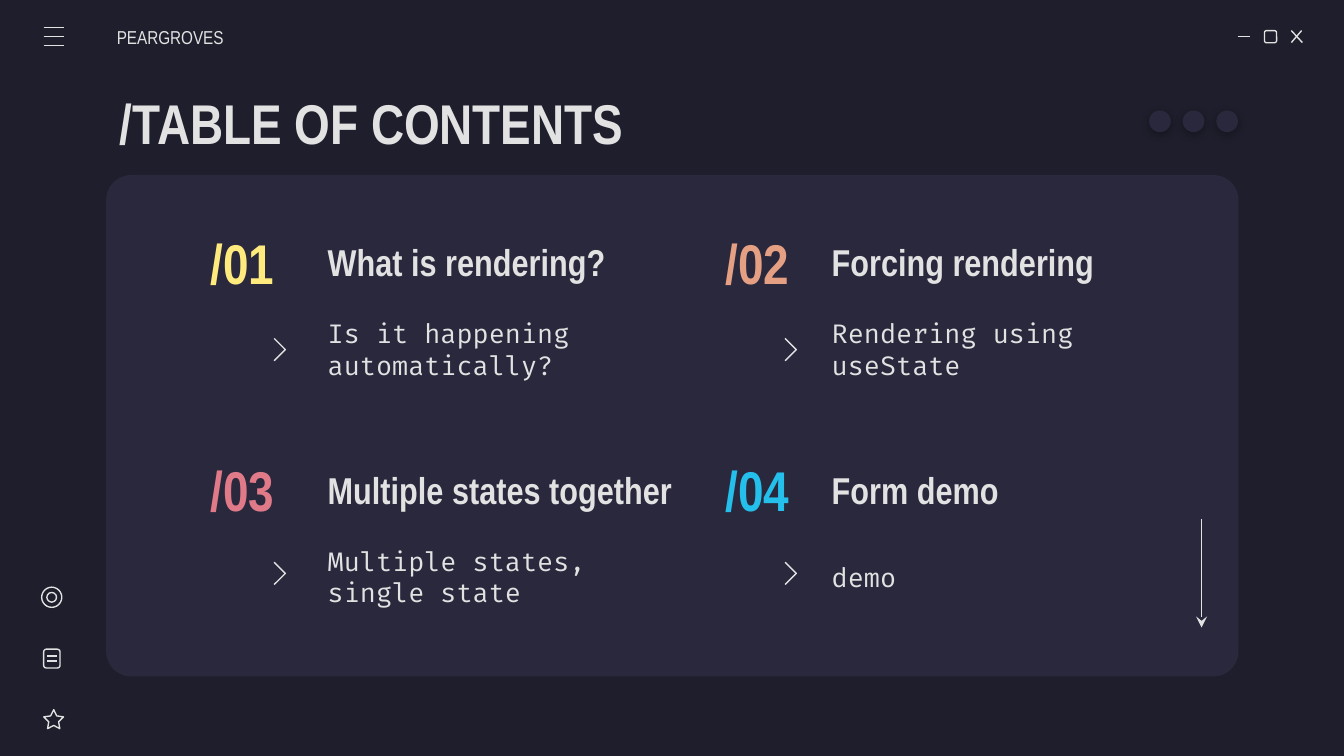
from lxml import etree
from pptx import Presentation
from pptx.dml.color import RGBColor
from pptx.enum import shapes, text
from pptx.oxml import ns
from pptx.util import Pt

COLORS = {
    "background": "1E1E2C",
    "panel": "29283D",
    "light": "E2E2E2",
    "yellow": "FFEA7D",
    "orange": "E5A083",
    "pink": "E07A88",
    "blue": "24BFEB",
    "shadow": "000000",
}
HEADING_FONT = "Arial Narrow"
BODY_FONT = "Fira Code"
SHAPE = shapes.MSO_SHAPE
ALIGN = text.PP_ALIGN

TOPICS = [
    ("/01", "yellow", "What is rendering?", "Is it happening automatically?"),
    ("/02", "orange", "Forcing rendering", "Rendering using useState"),
    ("/03", "pink", "Multiple states together", "Multiple states, single state"),
    ("/04", "blue", "Form demo", "demo"),
]
NUMBER_X = (97.2, 373)
HEADING_X = (168.5, 438.5)
CHEVRON_X = (146.9, 420.6)
HEADING_Y = (120.2, 242)
DETAIL_Y = (160, 282)
CHEVRON_Y = (181.3, 301.2)


def rgb(color):
    return RGBColor.from_string(COLORS[color])


def style_outline(line):
    line.color.rgb = rgb("light")
    line.width = Pt(0.75)


def write(target, words, size, color="light", font=HEADING_FONT, bold=True,
          align=ALIGN.LEFT, left_inset=7.2):
    frame = target.text_frame
    frame.word_wrap = True
    frame.auto_size = text.MSO_AUTO_SIZE.NONE
    frame.vertical_anchor = text.MSO_ANCHOR.MIDDLE
    frame.margin_left = Pt(left_inset)
    frame.margin_right = frame.margin_top = frame.margin_bottom = Pt(7.2)
    paragraph = frame.paragraphs[0]
    paragraph.alignment = align
    run = paragraph.add_run()
    run.text = words
    run.font.name = font
    run.font.size = Pt(size)
    run.font.bold = bold
    run.font.color.rgb = rgb(color)


def add_label(slide, x, y, width, height, words, size, **style):
    label = slide.shapes.add_textbox(Pt(x), Pt(y), Pt(width), Pt(height))
    write(label, words, size, **style)


def add_solid(slide, kind, x, y, width, height):
    solid = slide.shapes.add_shape(kind, Pt(x), Pt(y), Pt(width), Pt(height))
    solid.fill.solid()
    solid.fill.fore_color.rgb = rgb("panel")
    solid.line.fill.background()
    solid.shadow.inherit = False
    return solid


def add_outlined(slide, kind, x, y, width, height):
    icon = slide.shapes.add_shape(kind, Pt(x), Pt(y), Pt(width), Pt(height))
    icon.fill.background()
    style_outline(icon.line)
    icon.shadow.inherit = False
    return icon


def add_line(slide, x1, y1, x2, y2, arrow=False):
    stroke = slide.shapes.add_connector(
        shapes.MSO_CONNECTOR.STRAIGHT, Pt(x1), Pt(y1), Pt(x2), Pt(y2))
    style_outline(stroke.line)
    if arrow:
        etree.SubElement(stroke.line._get_or_add_ln(), ns.qn("a:tailEnd"), type="stealth")
    etree.SubElement(stroke._element.spPr, ns.qn("a:effectLst"))


def add_chevron(slide, x, y):
    builder = slide.shapes.build_freeform(Pt(x), Pt(y))
    builder.add_line_segments(
        [(Pt(x + 6), Pt(y + 6)), (Pt(x), Pt(y + 12))], close=False)
    chevron = builder.convert_to_shape()
    chevron.fill.background()
    style_outline(chevron.line)
    chevron.shadow.inherit = False


def add_dot(slide, x, y):
    dot = add_solid(slide, SHAPE.OVAL, x, y, 11.6, 11.6)
    effects = dot._element.spPr.find(ns.qn("a:effectLst"))
    shadow = etree.SubElement(
        effects, ns.qn("a:outerShdw"), blurRad=str(Pt(4.5)), dist=str(Pt(1.5)),
        dir="5400000", algn="bl", rotWithShape="0")
    shade = etree.SubElement(shadow, ns.qn("a:srgbClr"), val=COLORS["shadow"])
    etree.SubElement(shade, ns.qn("a:alpha"), val="27000")


def add_topic(slide, index, number, color, heading, detail):
    row, column = divmod(index, 2)
    x, y = HEADING_X[column], HEADING_Y[row]
    add_label(slide, x, y, 210, 40.3, heading, 20)
    add_label(slide, NUMBER_X[column], y, 65.5, 40.3, number, 30,
              color=color, align=ALIGN.CENTER)
    add_label(slide, x, DETAIL_Y[row], 184.3, 54, detail, 14,
              font=BODY_FONT, bold=False)
    add_chevron(slide, CHEVRON_X[column], CHEVRON_Y[row])


def add_window_controls(slide):
    add_line(slide, 663.1, 19.6, 669.6, 19.6)
    add_outlined(slide, SHAPE.ROUNDED_RECTANGLE, 677.4, 16.4, 6.5, 6.5)
    add_line(slide, 691.8, 16.4, 697.7, 22.8)
    add_line(slide, 697.3, 16.4, 691.8, 22.8)


def add_side_icons(slide):
    for y in (14.8, 19.6, 24.4):
        add_line(slide, 23.4, y, 34.2, y)
    add_outlined(slide, SHAPE.OVAL, 22.3, 314.6, 10.8, 10.8)
    add_outlined(slide, SHAPE.OVAL, 25.1, 317.4, 5.2, 5.2)
    add_outlined(slide, SHAPE.ROUNDED_RECTANGLE, 23.4, 347.8, 8.8, 10.1)
    for y in (351.5, 354.1):
        add_line(slide, 25.2, y, 30.3, y)
    star = add_outlined(slide, SHAPE.STAR_5_POINT, 23.5, 380.2, 10.6, 10.2)
    star.adjustments[0] = 0.25


def main():
    deck = Presentation()
    deck.slide_width, deck.slide_height = Pt(720), Pt(405)
    slide = deck.slides.add_slide(deck.slide_layouts[5])
    slide.background.fill.solid()
    slide.background.fill.fore_color.rgb = rgb("background")

    title = slide.shapes.title
    title.left, title.top = Pt(56.9), Pt(42.5)
    title.width, title.height = Pt(607), Pt(45.4)
    write(title, "/TABLE OF CONTENTS", 30)

    panel = add_solid(slide, SHAPE.ROUNDED_RECTANGLE, 56.9, 93.8, 606.6, 268.6)
    panel.adjustments[0] = 0.05
    add_window_controls(slide)
    for index, topic in enumerate(TOPICS):
        add_topic(slide, index, *topic)
    add_side_icons(slide)
    add_line(slide, 643.7, 278, 643.7, 336.2, arrow=True)
    for step in range(3):
        add_dot(slide, 615.6 + 18 * step, 59.2)
    add_label(slide, 62.6, 9, 84.2, 21.6, "PEARGROVES", 10,
              bold=False, left_inset=0)
    deck.save("out.pptx")


if __name__ == "__main__":
    main()
